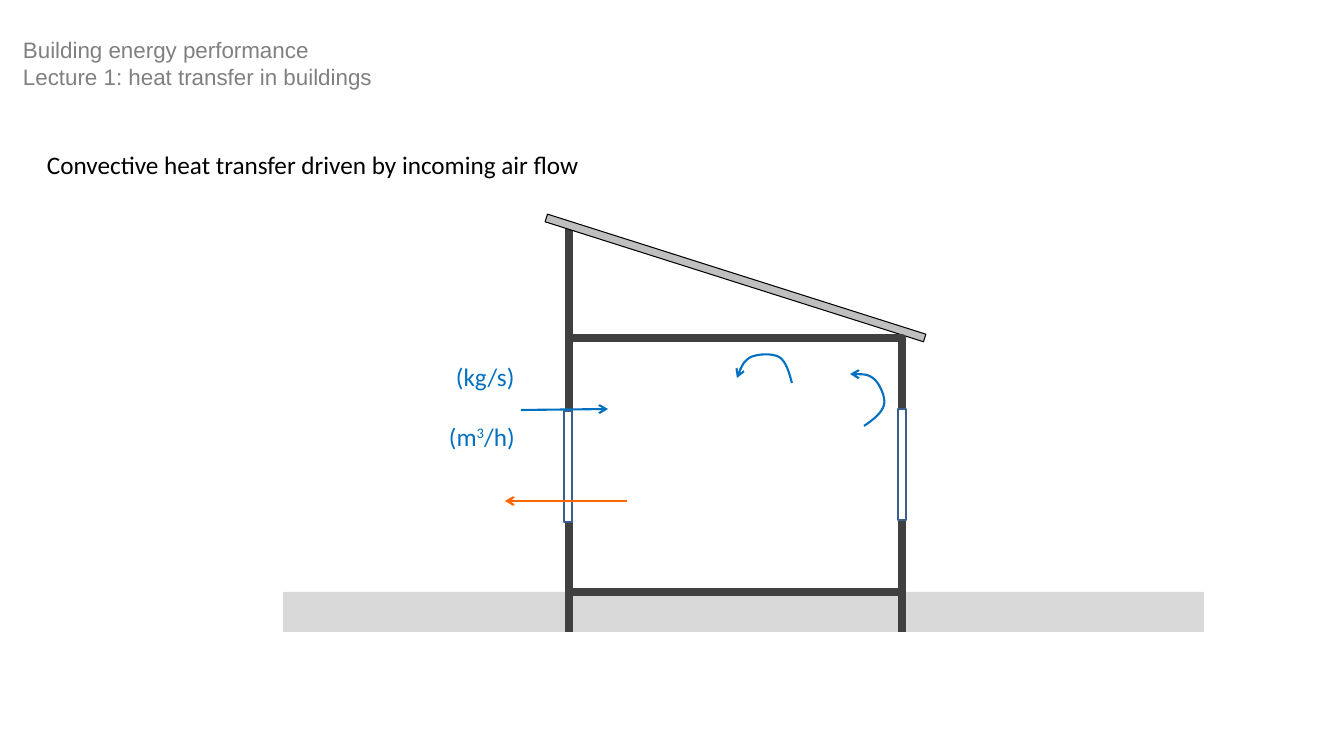
from lxml import etree
from pptx import Presentation, util as u
from pptx.dml.color import RGBColor
from pptx.enum import shapes, text
from pptx.oxml.ns import qn

PX = 914400 / 100.8  # EMU per px
SLIDE_SIZE = 1344, 756

BLACK = RGBColor(0x00, 0x00, 0x00)
WHITE = RGBColor(0xFF, 0xFF, 0xFF)
HEADER_GREY = RGBColor(0x80, 0x80, 0x80)
GROUND_GREY = RGBColor(0xD9, 0xD9, 0xD9)
ROOF_GREY = RGBColor(0xBF, 0xBF, 0xBF)
WALL_GREY = RGBColor(0x40, 0x40, 0x40)
FRAME_BLUE = RGBColor(0x3A, 0x5F, 0x8C)
INFLOW_BLUE = RGBColor(0x00, 0x70, 0xC0)
OUTFLOW_ORANGE = RGBColor(0xFF, 0x66, 0x00)

WALL_WIDTH, ARROW_WIDTH = 6, 1.5

# box (left, top, width, height), fill, line colour, line width in pt, rotation
GROUND = (283, 592, 921, 40), GROUND_GREY, None, 0, 0
HOUSE = [
    ((537, 274, 397, 8), ROOF_GREY, BLACK, 0.75, 17.6),
    ((569, 338, 333, 254), WHITE, WALL_GREY, WALL_WIDTH, 0),
    ((564, 411, 8, 111), WHITE, FRAME_BLUE, 1, 0),
    ((898, 409, 8, 111), WHITE, FRAME_BLUE, 1, 0),
]
# start, end, colour, width in pt, arrowhead
WALLS = [
    ((569, 632), (569, 227), WALL_GREY, WALL_WIDTH, False),
    ((902, 632), (902, 592), WALL_GREY, WALL_WIDTH, False),
]
AIR_FLOWS = [
    ((521, 410), (608, 409), INFLOW_BLUE, ARROW_WIDTH, True),
    ((627, 501), (505, 501), OUTFLOW_ORANGE, ARROW_WIDTH, True),
]
# start point, then three points for each Bézier segment
SWIRLS = [
    [(792, 383), (789, 372), (786, 361), (779, 357),
     (772, 353), (758, 354), (751, 357), (744, 361), (740, 369), (737, 378)],
    [(864, 426), (873, 420), (882, 413), (884, 405),
     (886, 398), (880, 384), (874, 379), (868, 374), (859, 374), (850, 374)],
]
# box, horizontal and vertical inset, font format, lines of (text, baseline) runs
HEADER_FONT = {"name": "Arial", "size": u.Pt(16)}
BODY_FONT = {"name": "Calibri", "size": u.Pt(18)}
TEXTS = [
    ((13, 31, 374, 65), (10, 5), HEADER_FONT, HEADER_GREY,
     [[("Building energy performance", 0)],
      [("Lecture 1: heat transfer in buildings", 0)]]),
    ((37, 144, 558, 40), (10, 5), BODY_FONT, BLACK,
     [[("Convective heat transfer driven by incoming air flow", 0)]]),
    ((456, 361, 80, 30), (0, 0), BODY_FONT, INFLOW_BLUE, [[("(kg/s)", 0)]]),
    ((449, 421, 90, 30), (0, 0), BODY_FONT, INFLOW_BLUE,
     [[("(m", 0), ("3", 30000), ("/h)", 0)]]),
]


def px(*lengths):
    return [u.Emu(round(length * PX)) for length in lengths]


def set_line(shape, colour, width, arrowhead=False):
    shape.line.color.rgb = colour
    shape.line.width = u.Pt(width)
    if arrowhead:
        line = shape.line.color and shape._element.spPr.find(qn("a:ln"))
        etree.SubElement(line, qn("a:tailEnd"), type="arrow")


def add_rectangle(slide, box, fill, line_colour, line_width, rotation):
    shape = slide.shapes.add_shape(shapes.MSO_SHAPE.RECTANGLE, *px(*box))
    shape.shadow.inherit = False
    shape.rotation = rotation
    shape.fill.solid()
    shape.fill.fore_color.rgb = fill
    if line_colour is None:
        shape.line.fill.background()
    else:
        set_line(shape, line_colour, line_width)


def add_line(slide, start, end, colour, width, arrowhead):
    connector = slide.shapes.add_connector(
        shapes.MSO_CONNECTOR.STRAIGHT, *px(*start, *end))
    set_line(connector, colour, width, arrowhead)
    etree.SubElement(connector._element.spPr, qn("a:effectLst"))


def add_swirl(slide, points):
    """Draw an open curve by joining each three line segments into one Bézier."""
    builder = slide.shapes.build_freeform(*points[0], scale=PX)
    builder.add_line_segments(points[1:], close=False)
    shape = builder.convert_to_shape()
    shape.shadow.inherit = False
    shape.fill.background()
    set_line(shape, INFLOW_BLUE, ARROW_WIDTH, True)
    segments = list(shape._element.iter(qn("a:lnTo")))
    for first in range(0, len(segments), 3):
        curve = etree.Element(qn("a:cubicBezTo"))
        segments[first].addprevious(curve)
        for segment in segments[first:first + 3]:
            curve.append(segment[0])
            segment.getparent().remove(segment)


def add_text(slide, box, insets, font_format, colour, lines):
    frame = slide.shapes.add_textbox(*px(*box)).text_frame
    across, down = px(*insets)
    settings = {"word_wrap": True, "auto_size": text.MSO_AUTO_SIZE.NONE,
                "margin_left": across, "margin_right": across,
                "margin_top": down, "margin_bottom": down}
    for name, value in settings.items():
        setattr(frame, name, value)
    for index, runs in enumerate(lines):
        paragraph = frame.add_paragraph() if index else frame.paragraphs[0]
        for wording, baseline in runs:
            run = paragraph.add_run()
            run.text = wording
            for name, value in font_format.items():
                setattr(run.font, name, value)
            run.font.color.rgb = colour
            if baseline:
                run._r.get_or_add_rPr().set("baseline", str(baseline))


def main():
    presentation = Presentation()
    presentation.slide_width, presentation.slide_height = px(*SLIDE_SIZE)
    slide = presentation.slides.add_slide(presentation.slide_layouts[6])
    add_rectangle(slide, *GROUND)
    for wall in WALLS:
        add_line(slide, *wall)
    for part in HOUSE:
        add_rectangle(slide, *part)
    for points in SWIRLS:
        add_swirl(slide, points)
    for flow in AIR_FLOWS:
        add_line(slide, *flow)
    for label in TEXTS:
        add_text(slide, *label)
    presentation.save("out.pptx")


if __name__ == "__main__":
    main()
